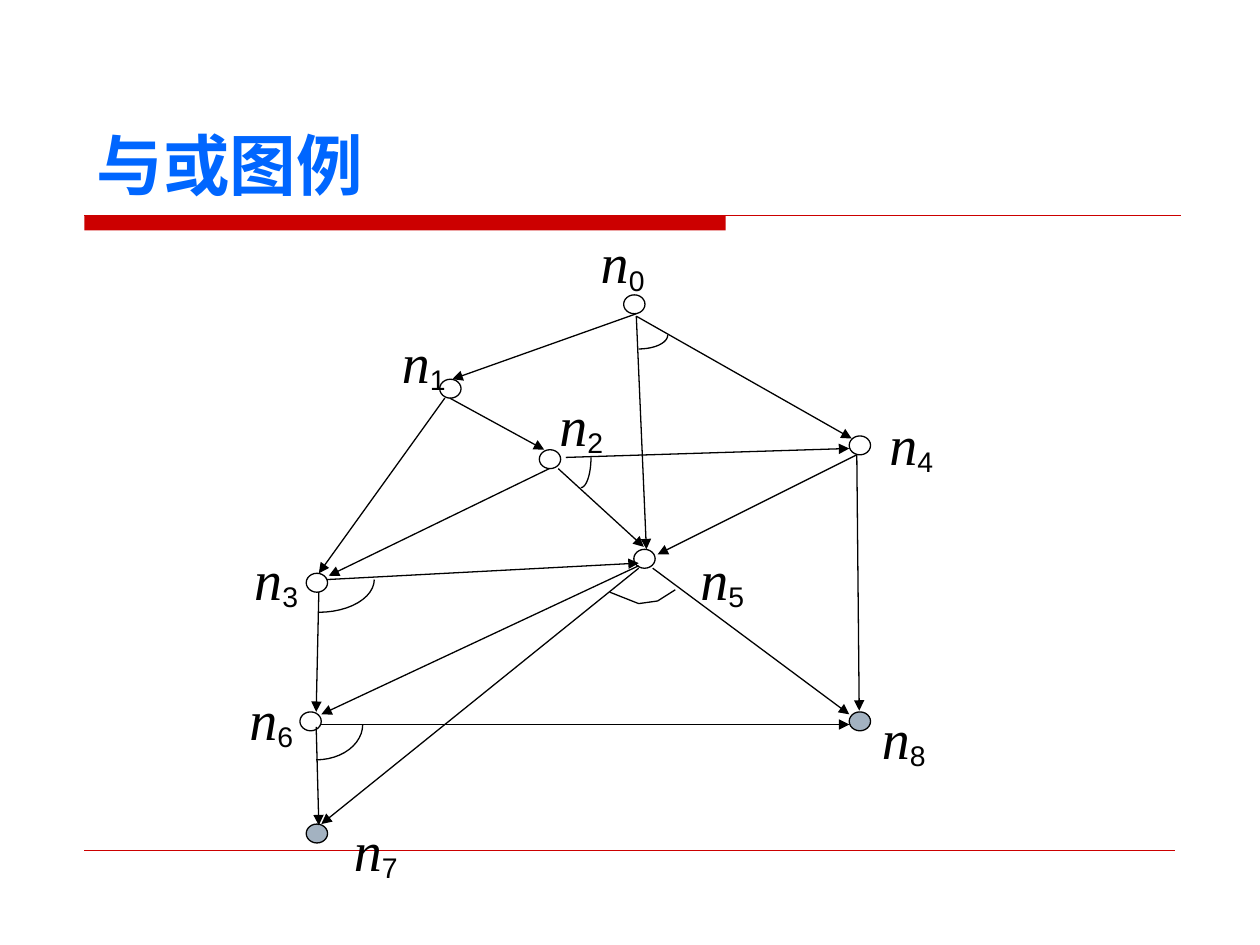
import math
from dataclasses import dataclass

from lxml import etree
from pptx import Presentation
from pptx.dml.color import RGBColor
from pptx.enum.shapes import MSO_CONNECTOR, MSO_SHAPE
from pptx.enum.text import MSO_ANCHOR, MSO_AUTO_SIZE, PP_ALIGN
from pptx.oxml.ns import qn
from pptx.util import Pt

STRAIGHT = MSO_CONNECTOR.STRAIGHT
OVAL, RECT = MSO_SHAPE.OVAL, MSO_SHAPE.RECTANGLE
BOTTOM, TOP = MSO_ANCHOR.BOTTOM, MSO_ANCHOR.TOP
NO_FIT, GROW = MSO_AUTO_SIZE.NONE, MSO_AUTO_SIZE.SHAPE_TO_FIT_TEXT
LEFT = PP_ALIGN.LEFT


@dataclass(frozen=True)
class Theme:
    title: RGBColor = RGBColor(0x00, 0x66, 0xFF)
    accent: RGBColor = RGBColor(0xCC, 0x00, 0x00)
    ink: RGBColor = RGBColor(0x00, 0x00, 0x00)
    solved: RGBColor = RGBColor(0xA3, 0xB2, 0xC1)
    title_font: str = "DejaVu Sans"
    title_size: float = 38
    name_font: str = "Times New Roman"
    name_size: float = 32
    index_font: str = "Arial"
    index_size: float = 28
    stroke: float = 0.75
    hairline: float = 0.25


THEME = Theme()
NODE_SIZE = (12.2, 10.8)
LABEL_SIZE = (39.6, 46.8)

NODES = [
    (221.4, 42.5), (116.3, 90.7), (173.2, 131), (40, 201.6), (350.3, 123.1),
    (227.2, 187.9), (36.4, 280.8), (40, 344.9), (350.3, 280.8),
]
SOLVED_NODES = {7, 8}
LABELS = [
    (201.2, 0.7), (87.5, 57.6), (177.5, 93.6), (3.2, 181.4), (366.1, 104.4),
    (258.1, 181.4), (0.4, 261.4), (60.1, 336.2), (361.8, 272.2),
]
EDGES = [
    (228.6, 53.3, 123.5, 90.7), (228.6, 54.7, 234.4, 187.9),
    (228.6, 54.7, 351.7, 124.6), (119.2, 101.5, 47.2, 201.6),
    (122, 101.5, 176, 131), (184, 141.8, 232.9, 186.5),
    (188.3, 135.4, 350.3, 130.3), (178.9, 141.8, 52.9, 203),
    (51.5, 205.2, 230, 195.8), (47.2, 212.4, 45.7, 280.8),
    (354.6, 133.9, 240.8, 190.8), (354.6, 133.9, 356, 280.1),
    (230, 197.3, 48.6, 282.2), (230, 198.7, 48.6, 344.9),
    (238, 198.7, 350.3, 282.2), (48.6, 288, 350.3, 288),
    (45.7, 289.4, 47.2, 345.6),
]
AND_ARCS = [
    (230, 65.5, 16.6, 7.9), (196.9, 135.4, 5.8, 17.3),
    (47.2, 205.2, 31.7, 18.7), (45.7, 288, 26.6, 20.2),
]
AND_BRACE = [(213.5, 212.4), (230, 218.9), (240.8, 217.4), (250.9, 211)]


def apply_format(target, values):
    for name, value in values.items():
        setattr(target, name, value)


def add_run(p, text, font, size, color, **values):
    r = p.add_run()
    r.text = text
    apply_format(r.font, {"name": font, "size": Pt(size), **values})
    r.font.color.rgb = color
    return r


def add_line(slide, x1, y1, x2, y2, color, width, arrow=False):
    line = slide.shapes.add_connector(STRAIGHT, Pt(x1), Pt(y1), Pt(x2), Pt(y2))
    line.line.color.rgb = color
    line.line.width = Pt(width)
    if arrow:
        etree.SubElement(line.line._get_or_add_ln(), qn("a:tailEnd"), type="triangle")
    etree.SubElement(line._element.spPr, qn("a:effectLst"))


def outline(sp):
    sp.shadow.inherit = False
    sp.line.color.rgb = THEME.ink
    sp.line.width = Pt(THEME.stroke)
    sp.fill.background()


def add_path(slide, points):
    start, *rest = [(Pt(x), Pt(y)) for x, y in points]
    builder = slide.shapes.build_freeform(*start)
    builder.add_line_segments(rest, close=False)
    outline(builder.convert_to_shape())


def quarter_arc(x, y, w, h, steps=12):
    angles = [math.pi / 2 * i / steps for i in range(steps + 1)]
    return [(x + w * math.sin(a), y + h * math.cos(a)) for a in angles]


def add_label(slide, x, y, index):
    w, h = LABEL_SIZE
    tf = slide.shapes.add_textbox(Pt(x), Pt(y), Pt(w), Pt(h)).text_frame
    apply_format(tf, {"word_wrap": False, "auto_size": GROW, "vertical_anchor": TOP})
    p = tf.paragraphs[0]
    add_run(p, "n", THEME.name_font, THEME.name_size, THEME.ink, italic=True)
    r = add_run(p, str(index), THEME.index_font, THEME.index_size, THEME.ink)
    r._r.get_or_add_rPr().set("baseline", "-15000")


def build_title(slide, left, top, width, height):
    sp = slide.shapes.title
    apply_format(sp, {"left": Pt(left), "top": Pt(top),
                      "width": Pt(width), "height": Pt(height)})
    tf = sp.text_frame
    apply_format(tf, {"word_wrap": True, "auto_size": NO_FIT, "vertical_anchor": BOTTOM})
    p = tf.paragraphs[0]
    p.alignment = LEFT
    r = add_run(p, "与或图例", THEME.title_font, THEME.title_size, THEME.title, bold=True)
    etree.SubElement(r._r.get_or_add_rPr(), qn("a:ea"), typeface=THEME.title_font)


def build_rules(slide, left, top, width, height):
    bar = slide.shapes.add_shape(RECT, Pt(left), Pt(top), Pt(366.5), Pt(8.6))
    bar.shadow.inherit = False
    bar.fill.solid()
    bar.fill.fore_color.rgb = THEME.accent
    bar.line.fill.background()
    add_line(slide, left, top, left + width, top, THEME.accent, THEME.stroke)
    bottom = top + height
    add_line(slide, left, bottom, left + width - 2.9, bottom, THEME.accent, THEME.hairline)


def build_graph(slide, left, top):
    def place(points):
        return [(left + x, top + y) for x, y in points]

    w, h = NODE_SIZE
    for index, (x, y) in enumerate(place(NODES)):
        sp = slide.shapes.add_shape(OVAL, Pt(x), Pt(y), Pt(w), Pt(h))
        outline(sp)
        if index in SOLVED_NODES:
            sp.fill.solid()
            sp.fill.fore_color.rgb = THEME.solved
    for x1, y1, x2, y2 in EDGES:
        add_line(slide, left + x1, top + y1, left + x2, top + y2,
                 THEME.ink, THEME.stroke, arrow=True)
    for arc in AND_ARCS:
        add_path(slide, place(quarter_arc(*arc)))
    add_path(slide, place(AND_BRACE))
    for index, (x, y) in enumerate(place(LABELS)):
        add_label(slide, x, y, index)


def main():
    prs = Presentation()
    prs.slide_width, prs.slide_height = Pt(720), Pt(540)
    slide = prs.slides.add_slide(prs.slide_layouts[5])
    build_rules(slide, 48.2, 123.1, 626.4, 362.9)
    build_title(slide, 48.2, 60.5, 629.3, 59.8)
    build_graph(slide, 135, 126)
    prs.save("out.pptx")


if __name__ == "__main__":
    main()
